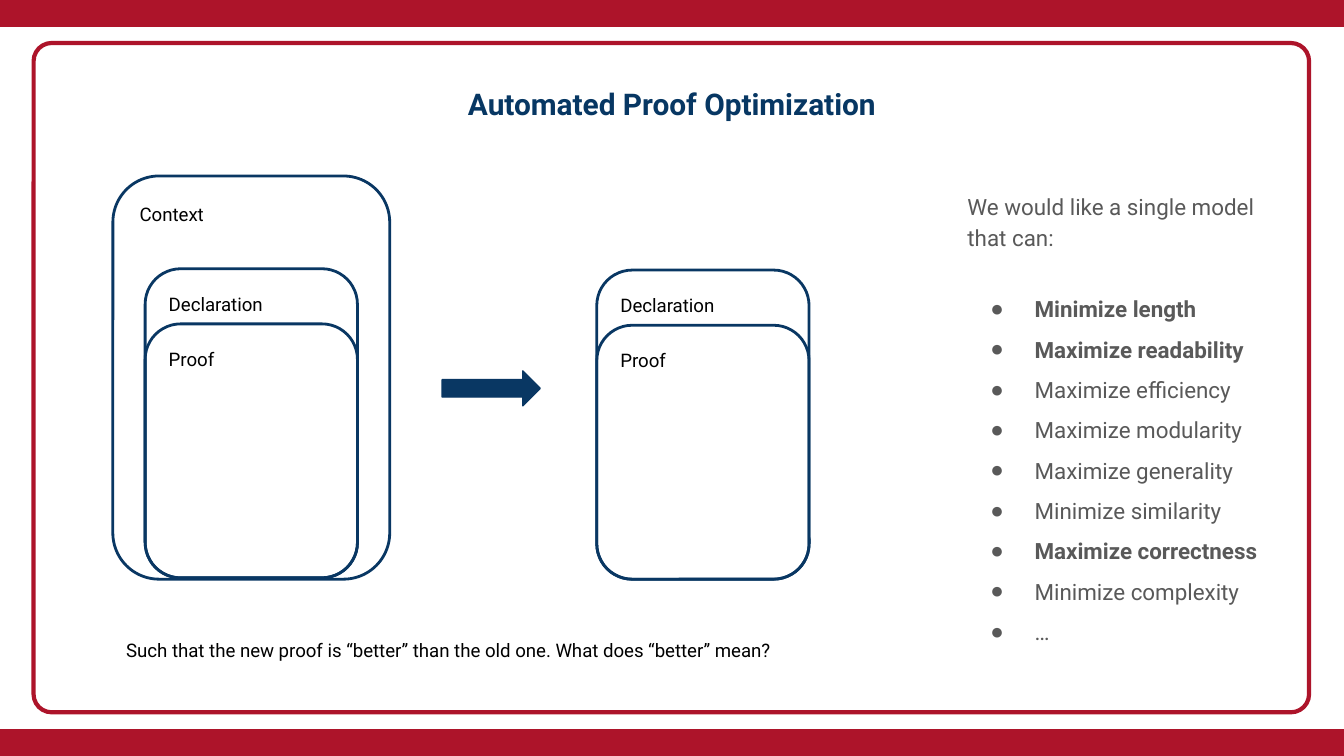
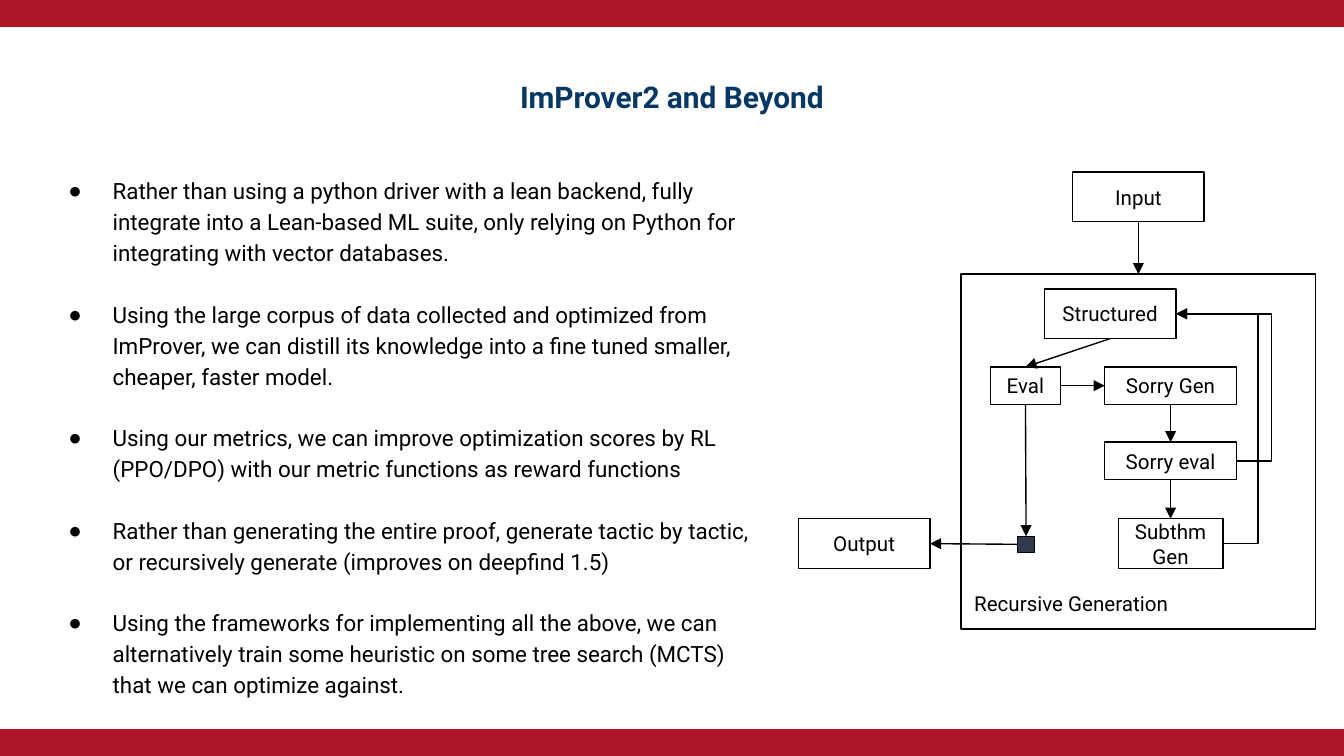
import lxml.etree
import pptx
import pptx.dml.color
import pptx.enum.shapes
import pptx.enum.text
import pptx.oxml.ns
import pptx.util

Inches = pptx.util.Inches
Pt = pptx.util.Pt
SHAPE = pptx.enum.shapes.MSO_SHAPE
LINK = pptx.enum.shapes.MSO_CONNECTOR
ANCHOR = pptx.enum.text.MSO_ANCHOR
ALIGN = pptx.enum.text.PP_ALIGN
qn = pptx.oxml.ns.qn

COLORS = {
    "white": "FFFFFF",
    "red": "AD142A",
    "title": "073763",
    "navy": "093763",
    "slate": "31394D",
    "gray": "595959",
    "black": "000000",
}
FONT = "Roboto"
BULLET_FONT = "Arial"
SLIDE_SIZE = (10, 10 * 9 / 16)
BAND_HEIGHT = 0.2
BLANK_LINE = 16.5
TOP, LEFT, BOTTOM, RIGHT = range(4)
FRAME_FORMAT = {
    "word_wrap": True,
    "auto_size": pptx.enum.text.MSO_AUTO_SIZE.NONE,
    "vertical_anchor": ANCHOR.TOP,
    "margin_left": Inches(0.1),
    "margin_top": Inches(0.1),
    "margin_right": Inches(0.1),
    "margin_bottom": Inches(0.1),
}

GOALS = [
    ("Minimize length", True),
    ("Maximize readability", True),
    ("Maximize efficiency", False),
    ("Maximize modularity", False),
    ("Maximize generality", False),
    ("Minimize similarity", False),
    ("Maximize correctness", True),
    ("Minimize complexity", False),
    ("…", False),
]
PLANS = [
    "Rather than using a python driver with a lean backend, fully integrate into a "
    "Lean-based ML suite, only relying on Python for integrating with vector databases.",
    "Using the large corpus of data collected and optimized from ImProver, we can "
    "distill its knowledge into a fine tuned smaller, cheaper, faster model.",
    "Using our metrics, we can improve optimization scores by RL (PPO/DPO) with our "
    "metric functions as reward functions",
    "Rather than generating the entire proof, generate tactic by tactic, or "
    "recursively generate (improves on deepfind 1.5)",
    "Using the frameworks for implementing all the above, we can alternatively train "
    "some heuristic on some tree search (MCTS) that we can optimize against.",
]


def rgb(color):
    return pptx.dml.color.RGBColor.from_string(COLORS[color])


def apply_format(target, values):
    for name, value in values.items():
        setattr(target, name, value)


def inches(box):
    return [Inches(length) for length in box]


def write(paragraph, text, size, color="black", bold=False, **layout):
    run = paragraph.add_run()
    run.text = text
    apply_format(run.font, {"name": FONT, "size": Pt(size), "bold": bold})
    run.font.color.rgb = rgb(color)
    apply_format(paragraph, layout)


def write_bullet(paragraph, text, size, color, bold=False, **layout):
    write(paragraph, text, size, color, bold, **layout)
    properties = paragraph._p.get_or_add_pPr()
    properties.set("marL", str(Inches(0.5)))
    properties.set("indent", str(Inches(-0.33)))
    tint = lxml.etree.SubElement(properties, qn("a:buClr"))
    lxml.etree.SubElement(tint, qn("a:srgbClr"), val=COLORS[color])
    lxml.etree.SubElement(properties, qn("a:buFont"), typeface=BULLET_FONT)
    lxml.etree.SubElement(properties, qn("a:buChar"), char="●")


def add_outline(slide, preset, box, fill=None, line=None, width=0.75, adjust=None):
    outline = slide.shapes.add_shape(preset, *inches(box))
    outline.shadow.inherit = False
    if fill:
        outline.fill.solid()
        outline.fill.fore_color.rgb = rgb(fill)
    else:
        outline.fill.background()
    if line:
        outline.line.color.rgb = rgb(line)
        outline.line.width = Pt(width)
    else:
        outline.line.fill.background()
    if adjust is not None:
        outline.adjustments[0] = adjust
    return outline


def add_label(outline, text, size, anchor=ANCHOR.TOP, alignment=ALIGN.LEFT):
    frame = outline.text_frame
    apply_format(frame, FRAME_FORMAT | {"vertical_anchor": anchor})
    write(frame.paragraphs[0], text, size, alignment=alignment)


def add_text(slide, box):
    frame = slide.shapes.add_textbox(*inches(box)).text_frame
    apply_format(frame, FRAME_FORMAT)
    return frame


def add_titled_slide(deck, title, box, line_spacing=1.0):
    slide = deck.slides.add_slide(deck.slide_layouts[5])
    heading = slide.shapes.title
    apply_format(heading, dict(zip(("left", "top", "width", "height"), inches(box))))
    apply_format(heading.text_frame, FRAME_FORMAT)
    write(heading.text_frame.paragraphs[0], title, 16, "title", True,
          alignment=ALIGN.CENTER, line_spacing=line_spacing)
    width, height = SLIDE_SIZE
    for top in (0, height - BAND_HEIGHT):
        add_outline(slide, SHAPE.RECTANGLE, (0, top, width, BAND_HEIGHT), "red")
    return slide


def add_border(slide, box):
    border = add_outline(slide, SHAPE.ROUNDED_RECTANGLE, box, "white", "red", 2.25, 0.027)
    slide.shapes._spTree.insert(2, border._element)


def add_rounded(slide, box, text):
    rounded = add_outline(slide, SHAPE.ROUNDED_RECTANGLE, box, None, "navy", 1.5, 0.167)
    add_label(rounded, text, 10)


def add_declaration(slide, box):
    left, top, width, height = box
    proof_offset = 0.41
    add_rounded(slide, box, "Declaration")
    add_rounded(slide, (left, top + proof_offset, width, height - proof_offset), "Proof")


def add_rewrite(slide, box):
    left, top, width, height = box
    add_rounded(slide, (left, top, 2.06, height), "Context")
    add_declaration(slide, (left + 0.24, top + 0.69, 1.58, 2.3))
    add_declaration(slide, (left + width - 1.58, top + 0.7, 1.58, 2.3))
    add_outline(slide, SHAPE.RIGHT_ARROW, (left + 2.45, top + 1.45, 0.73, 0.26),
                "navy", "navy")


def add_goals(slide, box):
    frame = add_text(slide, box)
    write(frame.paragraphs[0], "We would like a single model that can:", 12, "gray",
          line_spacing=1.15, space_after=Pt(BLANK_LINE))
    for goal, bold in GOALS:
        write_bullet(frame.add_paragraph(), goal, 12, "gray", bold, line_spacing=1.5)


def add_plans(slide, box):
    frame = add_text(slide, box)
    for index, plan in enumerate(PLANS):
        paragraph = frame.add_paragraph() if index else frame.paragraphs[0]
        write_bullet(paragraph, plan, 12, "black", line_spacing=1.15,
                     space_before=Pt(BLANK_LINE if index else 0))


def add_flow(slide, source, source_site, target, target_site, bend=None):
    kind = LINK.STRAIGHT if bend is None else LINK.ELBOW
    flow = slide.shapes.add_connector(kind, 0, 0, 0, 0)
    flow.begin_connect(source, source_site)
    flow.end_connect(target, target_site)
    flow.line.color.rgb = rgb("black")
    flow.line.width = Pt(0.75)
    properties = flow._element.spPr
    lxml.etree.SubElement(flow.line._get_or_add_ln(), qn("a:tailEnd"), type="triangle")
    lxml.etree.SubElement(properties, qn("a:effectLst"))
    if bend is not None:
        transform = properties.find(qn("a:xfrm"))
        for flip in ("flipH", "flipV"):
            transform.attrib.pop(flip, None)
        transform.set("rot", "10800000")
        guides = properties.find(qn("a:prstGeom")).find(qn("a:avLst"))
        ratio = round(-Inches(bend) / flow.width * 100000)
        lxml.etree.SubElement(guides, qn("a:gd"), name="adj1", fmla=f"val {ratio}")


def add_pipeline(slide, box):
    left, top, width, height = box
    side = 2.64
    recursion = add_outline(slide, SHAPE.RECTANGLE,
                            (left + width - side, top + height - side, side, side),
                            None, "black")
    add_label(recursion, "Recursive Generation", 11, ANCHOR.BOTTOM)

    def add_step(text, x, y, step_width=0.98, step_height=0.37):
        step = add_outline(slide, SHAPE.RECTANGLE,
                           (left + x, top + y, step_width, step_height), None, "black")
        add_label(step, text, 11, ANCHOR.MIDDLE, ALIGN.CENTER)
        return step

    structured = add_step("Structured", 1.83, 0.87)
    output = add_step("Output", 0, 2.58)
    start = add_step("Input", 2.04, 0)
    evaluation = add_step("Eval", 1.43, 1.45, 0.52, 0.28)
    sorry_gen = add_step("Sorry Gen", 2.28, 1.45, step_height=0.28)
    junction = add_outline(slide, SHAPE.RECTANGLE,
                           (left + 1.63, top + 2.71, 0.13, 0.12), "slate", "black")
    subtheorem = add_step("Subthm Gen", 2.38, 2.58, 0.78)
    sorry_eval = add_step("Sorry eval", 2.28, 2.01, step_height=0.28)

    for flow in (
        (start, BOTTOM, recursion, TOP),
        (structured, BOTTOM, evaluation, TOP),
        (evaluation, BOTTOM, junction, TOP),
        (evaluation, RIGHT, sorry_gen, LEFT),
        (sorry_gen, BOTTOM, sorry_eval, TOP),
        (sorry_eval, BOTTOM, subtheorem, TOP),
        (sorry_eval, RIGHT, structured, RIGHT, 0.26),
        (subtheorem, RIGHT, structured, RIGHT, 0.26),
        (junction, LEFT, output, RIGHT),
    ):
        add_flow(slide, *flow)


def build_optimization(deck):
    slide = add_titled_slide(deck, "Automated Proof Optimization", (0.34, 0.54, 9.32, 1.89))
    add_border(slide, (0.25, 0.32, 9.49, 4.98))
    add_rewrite(slide, (0.84, 1.31, 5.18, 3))
    question = add_text(slide, (0.84, 4.65, 5.02, 0.44))
    write(question.paragraphs[0],
          "Such that the new proof is “better” than the old one. What does “better” mean?", 10)
    add_goals(slide, (7.1, 1.31, 2.56, 3.78))


def build_future(deck):
    slide = add_titled_slide(deck, "ImProver2 and Beyond", (0.34, 0.54, 9.32, 0.44), 0.8)
    add_plans(slide, (0.24, 1.19, 5.47, 3.72))
    add_pipeline(slide, (5.94, 1.28, 3.85, 3.4))


def main():
    deck = pptx.Presentation()
    deck.slide_width, deck.slide_height = inches(SLIDE_SIZE)
    build_optimization(deck)
    build_future(deck)
    deck.save("out.pptx")


if __name__ == "__main__":
    main()
